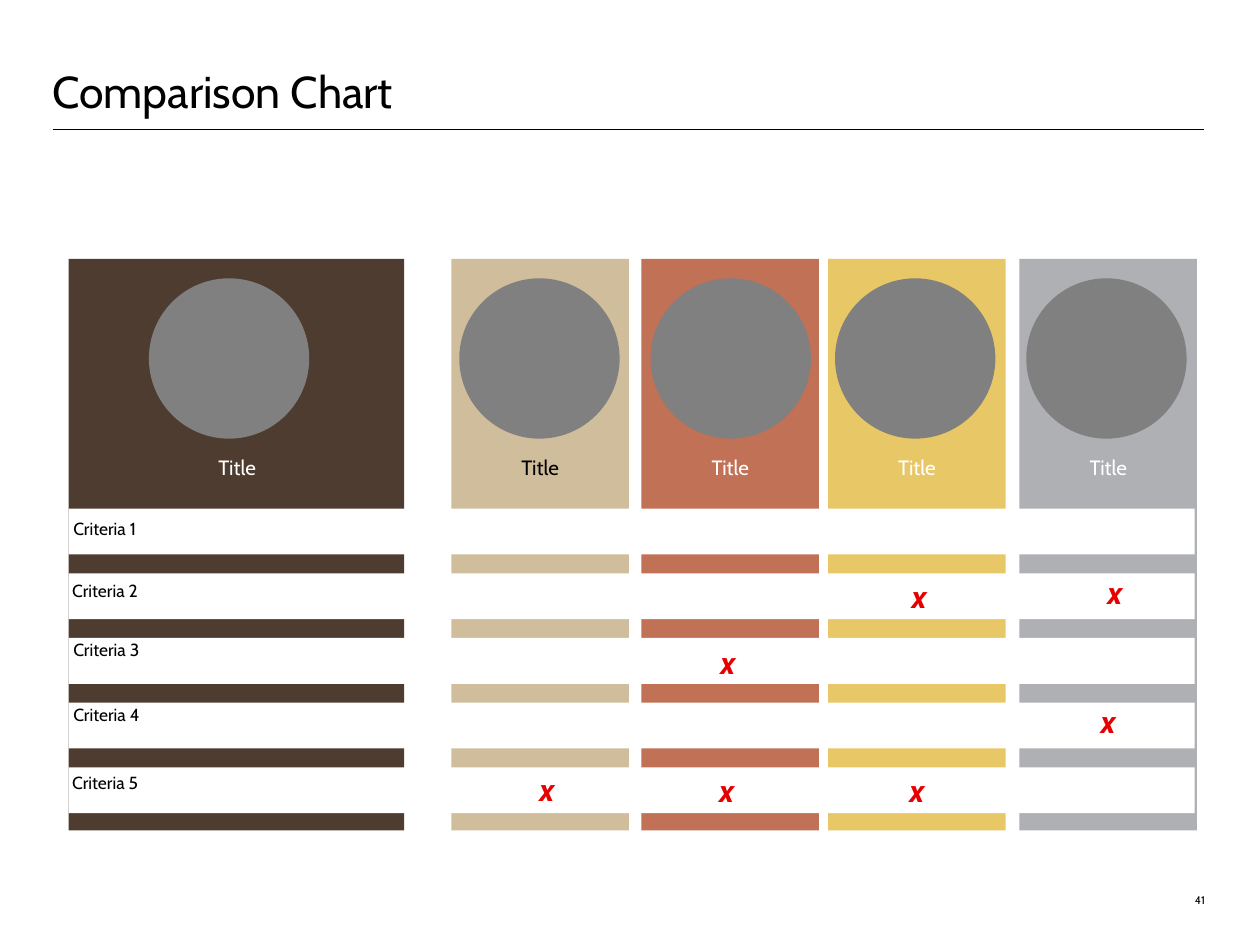
from pptx import Presentation
from pptx.dml.color import RGBColor
from pptx.enum.shapes import MSO_CONNECTOR, MSO_SHAPE
from pptx.enum.text import MSO_ANCHOR, PP_ALIGN
from pptx.util import Inches, Pt
from lxml.etree import SubElement
from pptx.oxml.ns import qn

BLACK, WHITE, GRAY, RED = "000000", "FFFFFF", "808080", "E60000"


def rgb(hex_color):
    return RGBColor.from_string(hex_color)


def write(tf, text, size=11, color=BLACK, bold=False, italic=False,
          align=PP_ALIGN.LEFT, font="Cabin", line_pt=None):
    p = tf.paragraphs[0]
    p.alignment = align
    if line_pt:
        p.line_spacing = Pt(line_pt)
    r = p.add_run()
    r.text = text
    r.font.name, r.font.size = font, Pt(size)
    r.font.bold, r.font.italic = bold, italic
    r.font.color.rgb = rgb(color)


class Deck:
    """Slide on a square grid: 110 columns by 82.5 rows."""
    COLS, ROWS = 110, 82.5

    def __init__(self):
        self.prs = Presentation()
        self.prs.slide_width, self.prs.slide_height = Inches(11), Inches(8.25)
        self.cell = self.prs.slide_width / self.COLS
        self.s = self.prs.slides.add_slide(self.prs.slide_layouts[6])

    def at(self, *cells):
        return [round(c * self.cell) for c in cells]

    def shape(self, kind, x, y, w, h, color):
        sp = self.s.shapes.add_shape(kind, *self.at(x, y, w, h))
        sp.shadow.inherit = False
        sp.fill.solid()
        sp.fill.fore_color.rgb = rgb(color)
        sp.line.fill.background()

    def rule(self, x1, x2, y, color=BLACK, width=0.75):
        c = self.s.shapes.add_connector(MSO_CONNECTOR.STRAIGHT, *self.at(x1, y, x2, y))
        c.line.color.rgb = rgb(color)
        c.line.width = Pt(width)
        SubElement(c._element.spPr, qn("a:effectLst"))

    def text(self, x, y, w, h, text, anchor=MSO_ANCHOR.TOP, **fmt):
        tf = self.s.shapes.add_textbox(*self.at(x, y, w, h)).text_frame
        tf.margin_left = tf.margin_right = tf.margin_top = tf.margin_bottom = 0
        tf.word_wrap = True
        tf.vertical_anchor = anchor
        write(tf, text, **fmt)


def main():
    deck = Deck()

    # Heading and page number
    deck.rule(4.6, 105.1, 11.3)
    deck.text(4.6, 0, 100.5, 10.3, "Comparison Chart", MSO_ANCHOR.BOTTOM,
              size=28, line_pt=32)
    deck.text(100.7, 75, 4.5, 4.2, "41", MSO_ANCHOR.BOTTOM, size=7,
              align=PP_ALIGN.RIGHT)

    # Columns: left, width, circle left, title left, title width, fill, title colour
    columns = [
        (6, 29.3, 13, 7.3, 26.8, "4D3C2F", WHITE),
        (39.4, 15.5, 40.1, 39.4, 15.5, "CFBD9B", BLACK),
        (56, 15.5, 56.8, 56, 15.5, "C07156", WHITE),
        (72.3, 15.5, 72.9, 72.3, 15.5, "E8C767", WHITE),
        (89, 15.5, 89.6, 89, 15.5, "AEB0B3", WHITE),
    ]
    for x, w, circle_x, title_x, title_w, fill, color in columns:
        deck.shape(MSO_SHAPE.RECTANGLE, x, 22.6, w, 49.9, fill)
        deck.shape(MSO_SHAPE.OVAL, circle_x, 24.3, 14, 14, GRAY)
        deck.text(title_x, 39.2, title_w, 3.2, "Title", MSO_ANCHOR.MIDDLE,
                  size=13, color=color, align=PP_ALIGN.CENTER)

    # Criteria bands with their labels
    labels = [(6.4, 45.2), (6.3, 50.6), (6.4, 55.8), (6.4, 61.5), (6.3, 67.4)]
    for i, (x, y) in enumerate(labels):
        deck.shape(MSO_SHAPE.RECTANGLE, 6, 44.4 + 5.65 * i, 98.3, 4, WHITE)
        deck.text(x, y, 29, 3.1, f"Criteria {i + 1}")

    # Marks
    marks = [(74, 50.5), (91.1, 50.1), (57.3, 56.2), (90.5, 61.4),
             (41.5, 67.3), (57.2, 67.4), (73.8, 67.4)]
    for x, y in marks:
        deck.text(x, y, 12.5, 3.1, "x", MSO_ANCHOR.MIDDLE, size=20, color=RED,
                  bold=True, italic=True, align=PP_ALIGN.CENTER)

    deck.prs.save("out.pptx")


if __name__ == "__main__":
    main()
